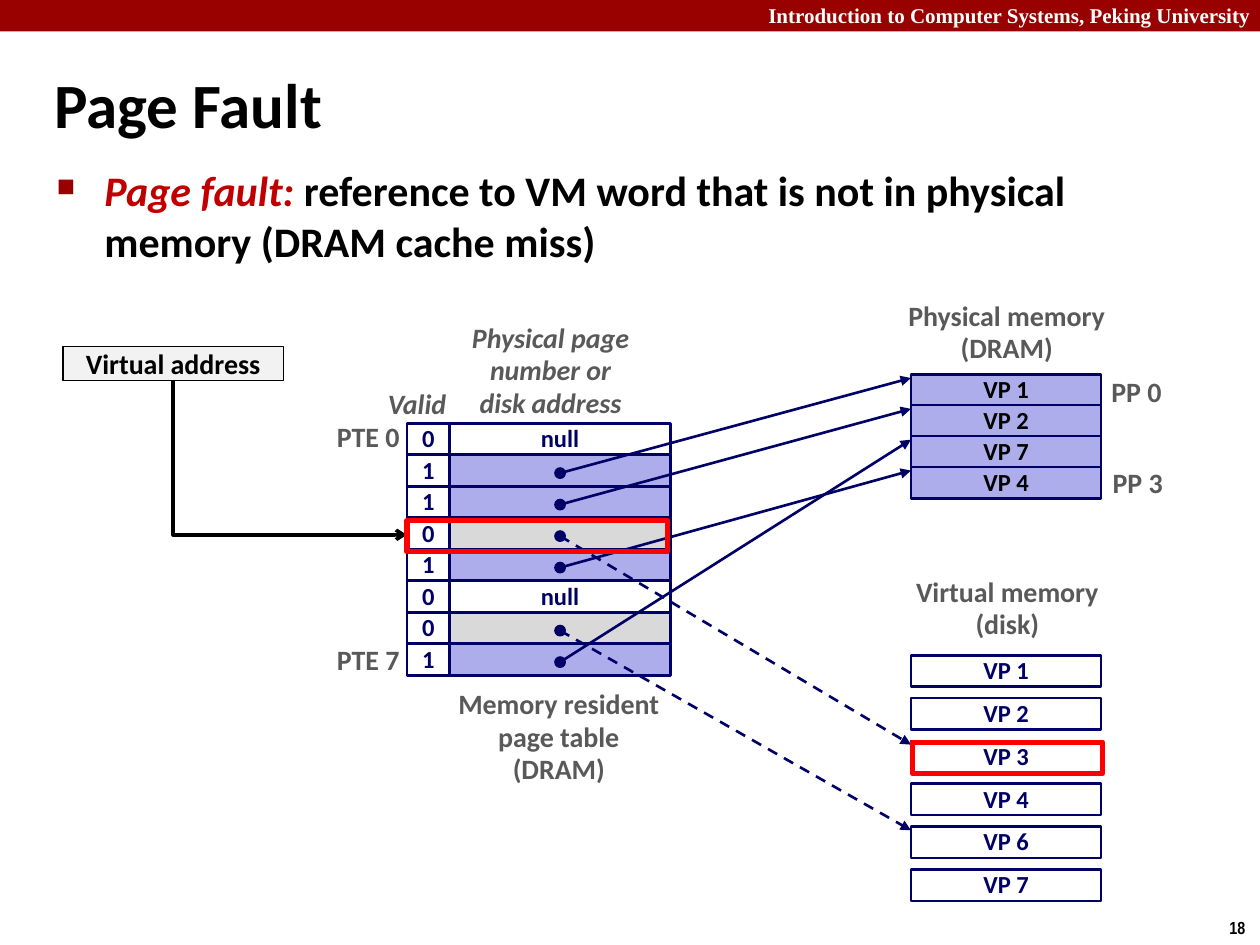
from dataclasses import dataclass

from lxml.etree import SubElement
from pptx import Presentation
from pptx.dml.color import RGBColor
from pptx.enum.dml import MSO_LINE_DASH_STYLE as Dash
from pptx.enum.shapes import MSO_CONNECTOR as Link, MSO_SHAPE as Shape
from pptx.enum.text import MSO_ANCHOR as Anchor, PP_ALIGN as Align
from pptx.oxml.ns import qn
from pptx.util import Inches, Pt


@dataclass(frozen=True)
class Theme:
    font: str = "Calibri"
    banner_font: str = "Times New Roman"
    number_font: str = "Arial Narrow"
    crimson: str = "990000"
    accent: str = "C00000"
    alert: str = "FF0000"
    navy: str = "000066"
    cached: str = "ADADEB"
    uncached: str = "D9D9D9"
    pale: str = "F2F2F2"
    white: str = "FFFFFF"
    black: str = "000000"
    gray: str = "595959"
    title: int = 36
    body: int = 24
    label: int = 16
    cell: int = 14
    banner: int = 12
    number: int = 10


THEME = Theme()

TITLE = "Page Fault"
TERM, DEFINITION = "Page fault: ", "reference to VM word that is not in physical memory (DRAM cache miss)"
BANNER = "Introduction to Computer Systems, Peking University"
NUMBER = "18"

# Each page table entry: valid bit, and the place it points to (memory, slot) or None
ENTRIES = [
    ("0", None), ("1", ("dram", 0)), ("1", ("dram", 1)), ("0", ("disk", 2)),
    ("1", ("dram", 3)), ("0", None), ("0", ("disk", 4)), ("1", ("dram", 2)),
]
FAULT_ENTRY, FAULT_SLOT = 3, 2
PAGES = {
    "dram": ["VP 1", "VP 2", "VP 7", "VP 4"],
    "disk": ["VP 1", "VP 2", "VP 3", "VP 4", "VP 6", "VP 7"],
}

# Grids in inches
ROW = 0.25
TABLE_TOP = 3.36
VALID_X, VALID_W = 3.23, 0.34
ENTRY_X, ENTRY_W = 3.57, 1.75
MEMORY_X, MEMORY_W = 7.23, 1.51
MEMORY_TOP = {"dram": 2.97, "disk": 5.2}
MEMORY_STEP = {"dram": 0.245, "disk": 0.34}
DOT = 0.08
ADDRESS = (0.5, 2.75, 1.75, 0.27)

# Lines of text, place, alignment, anchor, italic
LABELS = [
    (["Valid"], (2.98, 3.03, 0.75, 0.37), Align.LEFT, Anchor.TOP, True),
    (["Physical page", "number or", "disk address"], (3.64, 2.5, 1.46, 0.89), Align.CENTER, Anchor.MIDDLE, True),
    (["PTE 0"], (2.57, 3.29, 0.7, 0.37), Align.RIGHT, Anchor.MIDDLE, False),
    (["PTE 7"], (2.57, 5.06, 0.7, 0.37), Align.RIGHT, Anchor.MIDDLE, False),
    (["Memory resident", "page table", "(DRAM)"], (3.51, 5.41, 1.85, 0.89), Align.CENTER, Anchor.TOP, False),
    (["Physical memory", "(DRAM)"], (7.1, 2.33, 1.78, 0.63), Align.CENTER, Anchor.TOP, False),
    (["Virtual memory", "(disk)"], (7.15, 4.52, 1.69, 0.63), Align.CENTER, Anchor.TOP, False),
    (["PP 0"], (8.72, 2.93, 0.6, 0.37), Align.CENTER, Anchor.MIDDLE, False),
    (["PP 3"], (8.73, 3.65, 0.6, 0.37), Align.CENTER, Anchor.MIDDLE, False),
]


def color(code):
    return RGBColor.from_string(code)


def inches(lengths):
    return [Inches(length) for length in lengths]


def style(span, size, shade, italic=False, font=THEME.font):
    span.font.name, span.font.size = font, Pt(size)
    span.font.bold, span.font.italic = True, italic
    span.font.color.rgb = color(shade)


def write(box, lines, size, shade, align=Align.LEFT, anchor=Anchor.MIDDLE,
          italic=False, font=THEME.font, spacing=0.98, wrap=False):
    frame = box.text_frame
    frame.text = "\n".join(lines)
    frame.word_wrap, frame.vertical_anchor = wrap, anchor
    for para in frame.paragraphs:
        para.alignment, para.line_spacing = align, spacing
        for span in para.runs:
            style(span, size, shade, italic, font)


def add_text(page, place, *args, **options):
    box = page.shapes.add_textbox(*inches(place))
    write(box, *args, **options)
    return box


def add_box(page, place, fill=None, line=THEME.navy, width=1.5, kind=Shape.RECTANGLE):
    box = page.shapes.add_shape(kind, *inches(place))
    box.shadow.inherit = False
    if fill:
        box.fill.solid()
        box.fill.fore_color.rgb = color(fill)
    else:
        box.fill.background()
    if line:
        box.line.color.rgb = color(line)
        box.line.width = Pt(width)
    else:
        box.line.fill.background()
    return box


def add_arrow(page, kind, start, end, shade, width, head, dashed=False):
    arrow = page.shapes.add_connector(kind, *inches(start + end))
    arrow.line.color.rgb, arrow.line.width = color(shade), Pt(width)
    if dashed:
        arrow.line.dash_style = Dash.DASH
    properties = arrow._element.spPr
    SubElement(properties.find(qn("a:ln")), qn("a:tailEnd"), type=head)
    SubElement(properties, qn("a:effectLst"))
    return arrow


def add_elbow(page, start, end):
    """Arrow that goes down first and then right: a flipped one-bend connector turned by 270 degrees."""
    arrow = add_arrow(page, Link.ELBOW, start, end, THEME.black, 2, "arrow")
    across, down = end[0] - start[0], end[1] - start[1]
    middle_x, middle_y = (start[0] + end[0]) / 2, (start[1] + end[1]) / 2
    arrow.left, arrow.top, arrow.width, arrow.height = inches(
        (middle_x - down / 2, middle_y - across / 2, down, across))
    properties = arrow._element.spPr
    properties.find(qn("a:prstGeom")).set("prst", "bentConnector2")
    properties.find(qn("a:xfrm")).set("rot", str(270 * 60000))
    properties.find(qn("a:xfrm")).set("flipH", "1")


def add_heading(page):
    add_box(page, (0, 0, 10, 0.25), THEME.crimson, line=None)
    add_text(page, (6, -0.03, 4.07, 0.3), [BANNER], THEME.banner, THEME.white,
             font=THEME.banner_font, spacing=1)
    add_text(page, (9.66, 7.23, 0.34, 0.27), [NUMBER], THEME.number, THEME.black,
             font=THEME.number_font, spacing=1)
    title = page.shapes.title
    title.left, title.top, title.width, title.height = inches((0.33, 0.39, 9.06, 0.86))
    write(title, [TITLE], THEME.title, THEME.black, spacing=1, wrap=True)


def add_definition(page):
    frame = page.shapes.add_textbox(*inches((0.35, 1.26, 9.09, 0.83))).text_frame
    frame.word_wrap = True
    para = frame.paragraphs[0]
    properties = para._p.get_or_add_pPr()
    properties.set("marL", str(Inches(0.38)))
    properties.set("indent", str(-Inches(0.38)))
    SubElement(SubElement(properties, qn("a:buClr")), qn("a:srgbClr"), val=THEME.crimson)
    SubElement(properties, qn("a:buSzPct"), val="60000")
    SubElement(properties, qn("a:buChar"), char="■")
    for text, shade, italic in ((TERM, THEME.accent, True), (DEFINITION, THEME.black, False)):
        span = para.add_run()
        span.text = text
        style(span, THEME.body, shade, italic)


def add_memories(page):
    for name, fill, shade in (("dram", THEME.cached, THEME.black), ("disk", THEME.white, THEME.navy)):
        for slot, label in enumerate(PAGES[name]):
            top = MEMORY_TOP[name] + slot * MEMORY_STEP[name]
            box = add_box(page, (MEMORY_X, top, MEMORY_W, ROW), fill)
            write(box, [label], THEME.cell, shade, Align.CENTER)


def add_page_table(page):
    fills = {"dram": THEME.cached, "disk": THEME.uncached}
    for row, (valid, target) in enumerate(ENTRIES):
        top = TABLE_TOP + row * ROW
        write(add_box(page, (VALID_X, top, VALID_W, ROW)), [valid], THEME.cell, THEME.navy, Align.CENTER)
        entry = add_box(page, (ENTRY_X, top, ENTRY_W, ROW), fills[target[0]] if target else THEME.white)
        if not target:
            write(entry, ["null"], THEME.cell, THEME.navy, Align.CENTER)


def add_pointers(page):
    x = ENTRY_X + ENTRY_W / 2
    for row, (_, target) in enumerate(ENTRIES):
        if target:
            name, slot = target
            y = TABLE_TOP + (row + 0.5) * ROW + 0.02
            end = (MEMORY_X, MEMORY_TOP[name] + slot * MEMORY_STEP[name] + 0.03)
            add_box(page, (x - DOT / 2, y - DOT / 2, DOT, DOT), THEME.navy, width=1, kind=Shape.OVAL)
            add_arrow(page, Link.STRAIGHT, (x, y), end, THEME.navy, 1.5, "triangle", name == "disk")


def add_fault(page):
    left, top, width, height = ADDRESS
    address = add_box(page, ADDRESS, THEME.pale, THEME.black, 1)
    write(address, ["Virtual address"], THEME.label, THEME.black, Align.CENTER, spacing=1)
    row_top = TABLE_TOP + FAULT_ENTRY * ROW + 0.02
    slot_top = MEMORY_TOP["disk"] + FAULT_SLOT * MEMORY_STEP["disk"] + 0.01
    add_elbow(page, (left + width / 2, top + height), (VALID_X, row_top + ROW / 2 - 0.01))
    for place in ((VALID_X, row_top, 2.07, ROW), (MEMORY_X + 0.01, slot_top, MEMORY_W, ROW)):
        add_box(page, place, line=THEME.alert, width=3)


def main():
    deck = Presentation()
    deck.slide_width, deck.slide_height = inches((10, 7.5))
    page = deck.slides.add_slide(deck.slide_layouts[5])
    add_heading(page)
    add_definition(page)
    add_memories(page)
    add_page_table(page)
    add_pointers(page)
    for lines, place, align, anchor, italic in LABELS:
        add_text(page, place, lines, THEME.label, THEME.gray, align, anchor, italic)
    add_fault(page)
    deck.save("out.pptx")


if __name__ == "__main__":
    main()
